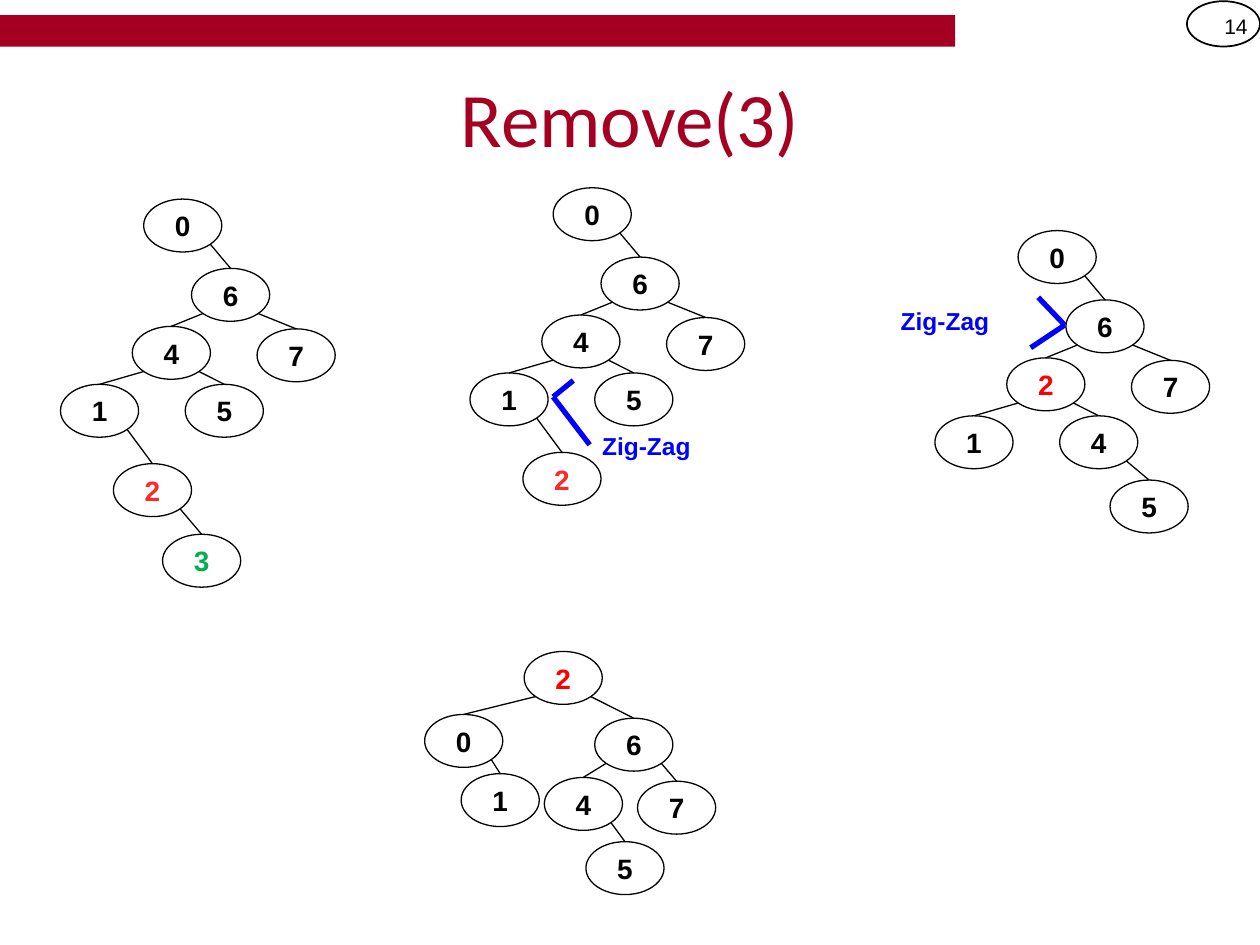
import math

import pptx
import pptx.dml.color
import pptx.enum.shapes
import pptx.enum.text
import pptx.oxml.ns
import pptx.util
from lxml import etree

Inches, Pt = pptx.util.Inches, pptx.util.Pt
SHAPE = pptx.enum.shapes.MSO_SHAPE
ALIGN = pptx.enum.text.PP_ALIGN
MIDDLE = pptx.enum.text.MSO_ANCHOR.MIDDLE

BLACK, CRIMSON, BLUE = "000000", "A50021", "0000FF"
RED, LIGHT_RED, GREEN = "FF0000", "FF2929", "00B050"
NODE_W, NODE_H = 0.62, 0.42


def rgb(value):
    return pptx.dml.color.RGBColor.from_string(value)


def set_font(p, name, size, color, bold=False):
    p.font.name, p.font.size, p.font.bold = name, Pt(size), bold
    p.font.color.rgb = rgb(color)


def add_shape(parent, kind, x, y, w, h, fill=None, line=None, width=0.75):
    sp = parent.shapes.add_shape(kind, Inches(x), Inches(y), Inches(w), Inches(h))
    sp.shadow.inherit = False
    if fill:
        sp.fill.solid()
        sp.fill.fore_color.rgb = rgb(fill)
    else:
        sp.fill.background()
    if line:
        sp.line.color.rgb = rgb(line)
        sp.line.width = Pt(width)
    else:
        sp.line.fill.background()
    return sp


def add_line(parent, x1, y1, x2, y2, color=BLACK, width=0.75):
    line = parent.shapes.add_connector(
        pptx.enum.shapes.MSO_CONNECTOR.STRAIGHT,
        Inches(x1), Inches(y1), Inches(x2), Inches(y2))
    line.line.color.rgb = rgb(color)
    line.line.width = Pt(width)
    etree.SubElement(line._element.spPr, pptx.oxml.ns.qn("a:effectLst"))
    return line


def add_text(parent, text, x, y, w, h, size, color, bold=False, align=ALIGN.LEFT):
    box = parent.shapes.add_textbox(Inches(x), Inches(y), Inches(w), Inches(h))
    tf = box.text_frame
    tf.word_wrap = True
    p = tf.paragraphs[0]
    p.text, p.alignment = text, align
    set_font(p, "Arial", size, color, bold)
    return box


def add_node(parent, label, x, y, color):
    sp = add_shape(parent, SHAPE.OVAL, x, y, NODE_W, NODE_H, line=BLACK)
    tf = sp.text_frame
    tf.margin_left = tf.margin_right = 0
    tf.vertical_anchor = MIDDLE
    p = tf.paragraphs[0]
    p.text, p.alignment = label, ALIGN.CENTER
    set_font(p, "Arial", 16, color, True)
    return sp


def add_tree(slide, x, y, nodes, colors):
    """Nodes are (label, parent label, dx, dy), measured from the root."""
    group = slide.shapes.add_group_shape()
    placed = {}
    for label, above, dx, dy in nodes:
        sp = add_node(group, label, x + dx, y + dy, colors.get(label, BLACK))
        placed[label] = (sp, dx, dy)
        if above:
            # Edges leave the parent at 45 degrees on its lower left or right
            _, px, py = placed[above]
            reach = math.copysign(NODE_W, dx - px) / math.sqrt(8)
            edge = add_line(group,
                            x + px + NODE_W / 2 + reach,
                            y + py + NODE_H / 2 + NODE_H / math.sqrt(8),
                            x + dx + NODE_W / 2, y + dy)
            edge.end_connect(sp, 0)
    return group


def top_nodes(mid, left, right):
    """The upper levels that the first three trees share."""
    return [("0", None, 0, 0), ("6", "0", 0.38, 0.55),
            (mid, "6", -0.09, 1.01), ("7", "6", 0.9, 1.03),
            (left, mid, -0.66, 1.47), (right, mid, 0.33, 1.47)]


def add_zig_zag(group, points, text_x, text_y, text_w):
    for start, end in zip(points, points[1:]):
        add_line(group, *start, *end, color=BLUE, width=3)
    add_text(group, "Zig-Zag", text_x, text_y, text_w, 0.34, 14, BLUE, True)


def add_header(slide):
    add_shape(slide, SHAPE.RECTANGLE, 0, 0.12, 7.58, 0.25, fill=CRIMSON)
    add_shape(slide, SHAPE.OVAL, 9.42, 0.01, 0.58, 0.36, line=BLACK, width=1)
    number = add_text(slide, "14", 9.42, 0.01, 0.58, 0.4, 12, BLACK, align=ALIGN.RIGHT)
    number.text_frame.vertical_anchor = MIDDLE

    title = slide.shapes.title
    title.left, title.top = Inches(0.5), Inches(0.3)
    title.width, title.height = Inches(9), Inches(1.25)
    title.text_frame.vertical_anchor = MIDDLE
    p = title.text_frame.paragraphs[0]
    p.text, p.alignment = "Remove(3)", ALIGN.CENTER
    set_font(p, "Calibri", 44, CRIMSON)


def main():
    prs = pptx.Presentation()
    prs.slide_width, prs.slide_height = Inches(10), Inches(7.5)
    slide = prs.slides.add_slide(prs.slide_layouts[5])
    add_header(slide)

    # Before removal, with 3 at the bottom
    with_two = top_nodes("4", "1", "5") + [("2", "1", -0.24, 2.1)]
    add_tree(slide, 1.14, 1.58, with_two + [("3", "2", 0.15, 2.66)],
             {"2": LIGHT_RED, "3": GREEN})

    # 3 removed, first zig-zag
    second = add_tree(slide, 4.39, 1.49, with_two, {"2": LIGHT_RED})
    add_zig_zag(second, [(4.55, 3.02), (4.39, 3.15), (4.68, 3.53)], 4.68, 3.37, 1.69)

    # 2 moved up, second zig-zag
    third = add_tree(slide, 8.08, 1.83,
                     top_nodes("2", "1", "4") + [("5", "4", 0.73, 1.98)], {"2": RED})
    add_zig_zag(third, [(8.24, 2.36), (8.45, 2.58), (8.18, 2.76)], 7.05, 2.38, 1.14)

    # 2 at the root
    add_tree(slide, 4.16, 5.17, [
        ("2", None, 0, 0), ("6", "2", 0.56, 0.53), ("0", "2", -0.79, 0.5),
        ("1", "0", -0.5, 0.97), ("4", "6", 0.16, 1), ("7", "6", 0.9, 1.03),
        ("5", "4", 0.49, 1.51)], {"2": RED})

    prs.save("out.pptx")


if __name__ == "__main__":
    main()
